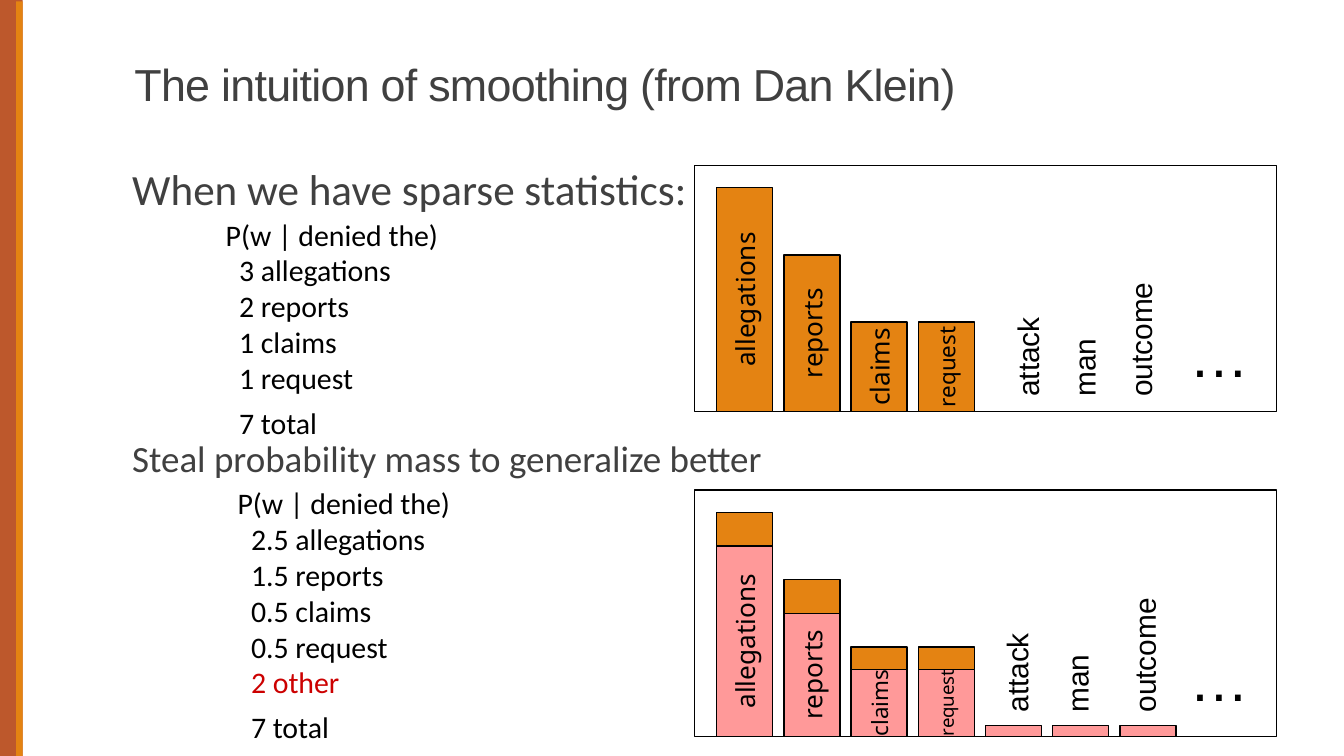
import pptx
import pptx.dml.color
import pptx.enum.shapes
import pptx.enum.text
import pptx.util

Pt = pptx.util.Pt
ALIGN = pptx.enum.text.PP_ALIGN
ANCHOR = pptx.enum.text.MSO_ANCHOR

BLACK, GREY, RED = "000000", "404040", "CC0000"
RUST, ORANGE, PINK = "BD582C", "E48312", "FF9999"

BAR_WIDTH, BAR_PITCH, FIRST_BAR = 30, 36, 384
FRAME_LEFT, FRAME_WIDTH, FRAME_HEIGHT = 372, 312, 132
WORDS = ("allegations", "reports", "claims", "request")
COUNT_HEIGHTS = (120, 84, 48, 48)
SMOOTHED_HEIGHTS = (102, 66, 36, 36, 6, 6, 6)


def color(hex_value):
    return pptx.dml.color.RGBColor.from_string(hex_value)


def format_font(font, hex_value, **values):
    for name, value in values.items():
        setattr(font, name, value)
    font.color.rgb = color(hex_value)


def turned_box(left, top, width, height):
    """Frame of a shape that covers the given area once turned by 270 degrees."""
    return (Pt(left + (width - height) / 2), Pt(top + (height - width) / 2),
            Pt(height), Pt(width))


def add_rectangle(slide, box, fill=None, line=None):
    rectangle = slide.shapes.add_shape(pptx.enum.shapes.MSO_SHAPE.RECTANGLE, *box)
    rectangle.shadow.inherit = False
    if fill:
        rectangle.fill.solid()
        rectangle.fill.fore_color.rgb = color(fill)
    else:
        rectangle.fill.background()
    if line:
        rectangle.line.color.rgb = color(line)
        rectangle.line.width = Pt(0.75)
    else:
        rectangle.line.fill.background()
    return rectangle


def add_bar(slide, index, base, height, fill, word="", size=14):
    left = FIRST_BAR + BAR_PITCH * index
    bar = add_rectangle(slide, turned_box(left, base - height, BAR_WIDTH, height), fill, BLACK)
    bar.rotation = 270
    if word:
        frame = bar.text_frame
        frame.word_wrap = False
        frame.vertical_anchor = ANCHOR.MIDDLE
        paragraph = frame.paragraphs[0]
        paragraph.text = word
        paragraph.alignment = ALIGN.CENTER
        format_font(paragraph.font, BLACK, name="Noto Sans", size=Pt(size))


def add_label(slide, box, text, size, rotation=0):
    label = slide.shapes.add_textbox(*box)
    label.rotation = rotation
    label.text_frame.word_wrap = True
    paragraph = label.text_frame.paragraphs[0]
    paragraph.text = text
    format_font(paragraph.font, BLACK, name="Arial", size=Pt(size))


def add_chart_frame(slide, base):
    box = (FRAME_LEFT, base - FRAME_HEIGHT, FRAME_WIDTH, FRAME_HEIGHT)
    add_rectangle(slide, map(Pt, box), line=BLACK)


def add_unseen_words(slide, base, centers, label_bottom):
    for word, center in zip(("attack", "man", "outcome"), centers):
        box = turned_box(center - 13.3, label_bottom - 90, 26.6, 90)
        add_label(slide, box, word, 16, 270)
    add_label(slide, map(Pt, (630, base - 54, 42, 45.4)), "…", 32)


def add_count_chart(slide, base):
    add_chart_frame(slide, base)
    for index, (word, height) in enumerate(zip(WORDS, COUNT_HEIGHTS)):
        add_bar(slide, index, base, height, ORANGE, word, 12 if word == "request" else 14)
    add_unseen_words(slide, base, (550.4, 580.7, 611), 219.6)


def add_smoothed_chart(slide, base):
    add_chart_frame(slide, base)
    for index, height in enumerate(COUNT_HEIGHTS):
        add_bar(slide, index, base, height, ORANGE)
    add_unseen_words(slide, base, (544.7, 577, 613), 388.8)
    words = WORDS + ("",) * 3
    sizes = (14, 14, 12, 10, 10, 10, 10)
    for index, (height, word, size) in enumerate(zip(SMOOTHED_HEIGHTS, words, sizes)):
        add_bar(slide, index, base, height, PINK, word, size)


def add_counts(slide, left, top, height, counts):
    """List the counts, indented under the probability, with the total set apart."""
    box = slide.shapes.add_textbox(Pt(left), Pt(top), Pt(192), Pt(height))
    frame = box.text_frame
    frame.word_wrap = True
    lines = ["P(w | denied the)", *counts, "7 total"]
    for index, line in enumerate(lines):
        paragraph = frame.add_paragraph() if index else frame.paragraphs[0]
        paragraph.text = line
        if index:
            paragraph._p.get_or_add_pPr().set("marL", str(Pt(7.2)))
        if line == lines[-1]:
            paragraph.space_before = Pt(4.9)
        format_font(paragraph.font, RED if line == "2 other" else BLACK,
                    name="Calibri", size=Pt(16))


def add_statements(slide):
    box = slide.shapes.add_textbox(Pt(70.8), Pt(86.8), Pt(588), Pt(171))
    frame = box.text_frame
    frame.word_wrap = True
    for side in ("left", "top", "right", "bottom"):
        setattr(frame, f"margin_{side}", 0)
    sparse = frame.paragraphs[0]
    sparse.text = "When we have sparse statistics:"
    format_font(sparse.font, GREY, name="Calibri", size=Pt(23.1))
    steal = frame.add_paragraph()
    steal.text = "Steal probability mass to generalize better"
    steal.space_before = Pt(119)
    format_font(steal.font, GREY, name="Calibri", size=Pt(19.8))


def set_title(slide):
    title = slide.shapes.title
    position = {"left": 64.8, "top": 9.4, "width": 594, "height": 53.3}
    for name, value in position.items():
        setattr(title, name, Pt(value))
    frame = title.text_frame
    frame.auto_size = pptx.enum.text.MSO_AUTO_SIZE.NONE
    frame.vertical_anchor = ANCHOR.BOTTOM
    paragraph = frame.paragraphs[0]
    paragraph.alignment = ALIGN.LEFT
    paragraph.line_spacing = 0.85
    run = paragraph.add_run()
    run.text = "The intuition of smoothing (from Dan Klein)"
    format_font(run.font, GREY, name="Arial", size=Pt(24))
    run.font._element.set("spc", "-40")


def main():
    presentation = pptx.Presentation()
    presentation.slide_width, presentation.slide_height = Pt(720), Pt(405)
    slide = presentation.slides.add_slide(presentation.slide_layouts[5])
    add_rectangle(slide, map(Pt, (0, 0, 12.2, 405)), RUST)
    add_rectangle(slide, map(Pt, (8.6, 0.7, 3.6, 404.3)), ORANGE)
    set_title(slide)
    add_statements(slide)
    add_counts(slide, 113.8, 112.3, 128,
               ("3 allegations", "2 reports", "1 claims", "1 request"))
    add_counts(slide, 120.2, 256.3, 141,
               ("2.5 allegations", "1.5 reports", "0.5 claims", "0.5 request", "2 other"))
    add_count_chart(slide, 220.5)
    add_smoothed_chart(slide, 394.5)
    presentation.save("out.pptx")


if __name__ == "__main__":
    main()
